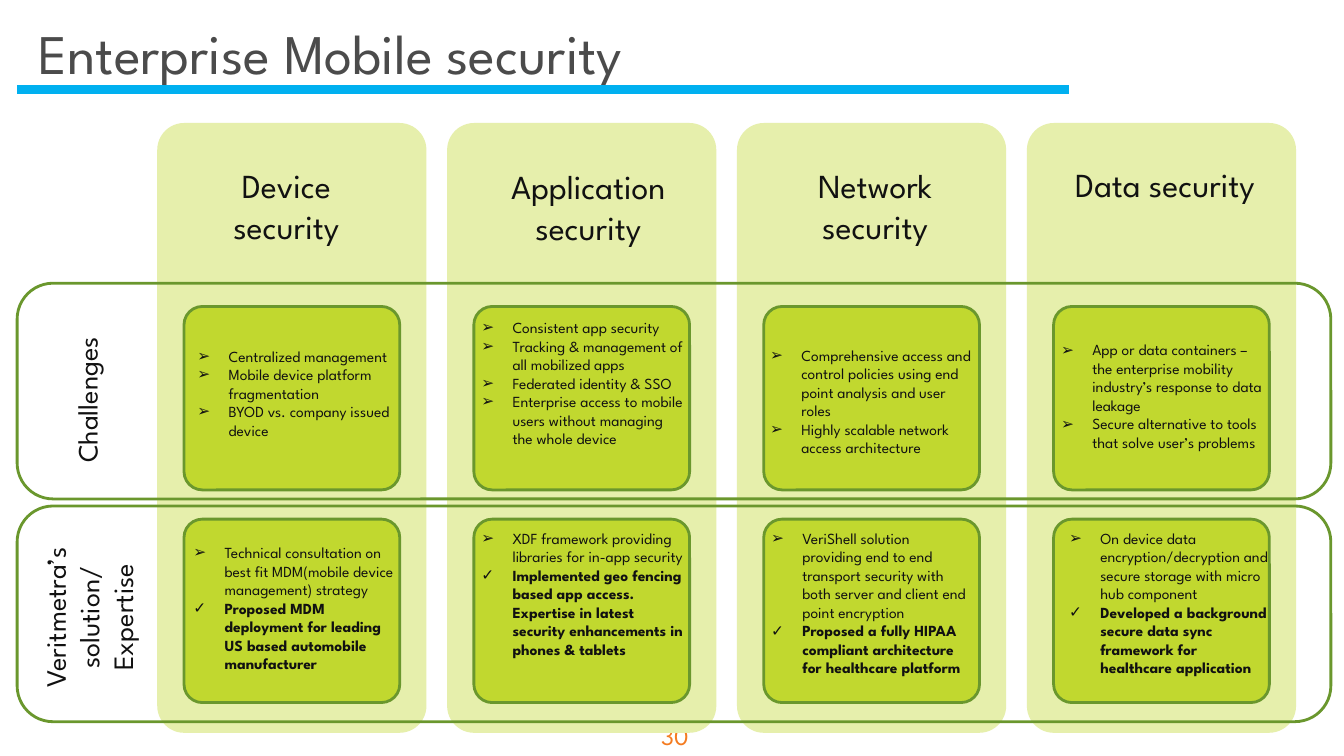
from dataclasses import dataclass

from lxml.etree import SubElement
from pptx import Presentation
from pptx.dml.color import RGBColor
from pptx.enum.shapes import MSO_CONNECTOR, MSO_SHAPE
from pptx.enum.text import MSO_ANCHOR, MSO_AUTO_SIZE, PP_ALIGN
from pptx.oxml.ns import qn
from pptx.util import Inches, Pt

FONT = "League Spartan"
INK, TITLE_GREY, ORANGE, BLUE = "111111", "4B4B4B", "F47B20", "00B0F0"
PALE, LIME, GREEN = "E6EFAC", "C1D82F", "6A972D"
ARROW, CHECK = "➢", "✓"
INDENT = 0.31

# Grid: four columns crossed by two rows, with a card at each crossing
COL_LEFT, COL_TOP, COL_W, COL_H, COL_PITCH = 1.56, 1.22, 2.67, 6.05, 2.875
ROW_LEFT, ROW_TOP, ROW_W, ROW_H, ROW_PITCH = 0.17, 2.81, 13.03, 2.14, 2.21
CARD_DX, CARD_TOP, CARD_W, CARD_H, CARD_PITCH = 0.265, 3.04, 2.14, 1.82, 2.11
BODY_W, HEAD_H = 2.2, 0.91


@dataclass
class Item:
    text: str
    bullet: str = ""
    bold: bool = False


@dataclass
class Cell:
    """Bulleted text, placed by offsets from its column's left and its card's top."""
    dx: float
    dy: float
    h: float
    items: list[Item]


@dataclass
class Column:
    heading: str
    dx: float
    top: float
    w: float
    cells: list[Cell]


@dataclass
class RowLabel:
    lines: list[str]
    box: tuple[float, float, float, float]
    align: PP_ALIGN


def challenges(dx: float, dy: float, h: float, *texts: str) -> Cell:
    return Cell(dx, dy, h, [Item(t, ARROW) for t in texts])


def solution(dx: float, dy: float, h: float, offer: str, proof: str) -> Cell:
    return Cell(dx, dy, h, [Item(offer, ARROW), Item(proof, CHECK, True)])


COLUMNS = [
    Column("Device security", 0.4, 1.59, 1.76, [
        challenges(0.3, 0.35, 1.21, "Centralized management",
                   "Mobile device platform fragmentation",
                   "BYOD vs. company issued device"),
        solution(0.26, 0.19, 1.58,
                 "Technical consultation on best fit MDM(mobile device management) strategy",
                 "Proposed MDM deployment for leading US based automobile manufacturer"),
    ]),
    Column("Application security", 0.35, 1.6, 2.1, [
        challenges(0.24, 0.07, 1.77, "Consistent app security",
                   "Tracking & management of all mobilized apps",
                   "Federated identity & SSO",
                   "Enterprise access to mobile users without managing the whole device"),
        solution(0.24, 0.05, 1.77,
                 "XDF framework providing libraries for in-app security",
                 "Implemented geo fencing based app access. Expertise in latest "
                 "security enhancements in phones & tablets"),
    ]),
    Column("Network security", 0.32, 1.59, 2.1, [
        challenges(0.23, 0.34, 1.21,
                   "Comprehensive access and control policies using end point "
                   "analysis and user roles",
                   "Highly scalable network access architecture"),
        solution(0.24, 0.05, 1.77,
                 "VeriShell solution providing end to end transport security with "
                 "both server and client end point encryption",
                 "Proposed a fully HIPAA compliant architecture for healthcare platform"),
    ]),
    Column("Data security", 0.32, 1.58, 2.1, [
        challenges(0.24, 0.29, 1.4,
                   "App or data containers – the enterprise mobility industry’s "
                   "response to data leakage",
                   "Secure alternative to tools that solve user’s problems"),
        solution(0.32, 0.05, 1.77,
                 "On device data encryption/decryption and secure storage with "
                 "micro hub component",
                 "Developed a background secure data sync framework for "
                 "healthcare application"),
    ]),
]
ROW_LABELS = [
    RowLabel(["Challenges"], (0.05, 3.66, 1.62, 0.44), PP_ALIGN.LEFT),
    RowLabel(["Veritmetra’s solution/", "Expertise"], (0.07, 5.57, 1.62, 1.11),
             PP_ALIGN.CENTER),
]


def rgb(code: str) -> RGBColor:
    return RGBColor.from_string(code)


def add_round(s, x: float, y: float, w: float, h: float, fill: str = "",
              line: str = "", corner: float = 0.1):
    sp = s.shapes.add_shape(MSO_SHAPE.ROUNDED_RECTANGLE,
                            Inches(x), Inches(y), Inches(w), Inches(h))
    sp.shadow.inherit = False
    sp.adjustments[0] = corner
    if fill:
        sp.fill.solid()
        sp.fill.fore_color.rgb = rgb(fill)
    else:
        sp.fill.background()
    if line:
        sp.line.color.rgb = rgb(line)
        sp.line.width = Pt(2)
    else:
        sp.line.fill.background()
    return sp


def add_bullet(p, char: str) -> None:
    pPr = p._p.get_or_add_pPr()
    pPr.set("marL", str(Inches(INDENT)))
    pPr.set("indent", str(-Inches(INDENT)))
    SubElement(pPr, qn("a:buFont"), typeface="Arial")
    SubElement(pPr, qn("a:buChar"), char=char)


def add_text(s, box: tuple[float, float, float, float], items: list[Item],
             size: float, color: str = INK, align: PP_ALIGN = PP_ALIGN.LEFT,
             frame: dict | None = None):
    sp = s.shapes.add_textbox(*(Inches(v) for v in box))
    tf = sp.text_frame
    settings = {"word_wrap": True, "auto_size": MSO_AUTO_SIZE.SHAPE_TO_FIT_TEXT}
    for name, value in (settings | (frame or {})).items():
        setattr(tf, name, value)
    for i, item in enumerate(items):
        p = tf.add_paragraph() if i else tf.paragraphs[0]
        p.alignment = align
        if item.bullet:
            add_bullet(p, item.bullet)
        r = p.add_run()
        r.text = item.text
        for name, value in {"name": FONT, "size": Pt(size), "bold": item.bold}.items():
            setattr(r.font, name, value)
        r.font.color.rgb = rgb(color)
    return sp


def add_rule(s, x1: float, x2: float, y: float, color: str, width: float) -> None:
    ln = s.shapes.add_connector(MSO_CONNECTOR.STRAIGHT,
                                Inches(x1), Inches(y), Inches(x2), Inches(y))
    ln.line.color.rgb = rgb(color)
    ln.line.width = Pt(width)
    SubElement(ln._element.spPr, qn("a:effectLst"))


def main() -> None:
    prs = Presentation()
    prs.slide_width, prs.slide_height = Inches(13.33), Inches(7.5)
    s = prs.slides.add_slide(prs.slide_layouts[6])
    lefts = [COL_LEFT + i * COL_PITCH for i in range(len(COLUMNS))]

    add_text(s, (6.44, 7.1, 0.51, 0.4), [Item("30")], 18, ORANGE, PP_ALIGN.CENTER)
    for x in lefts:
        add_round(s, x, COL_TOP, COL_W, COL_H, PALE)
    for j in range(len(ROW_LABELS)):
        add_round(s, ROW_LEFT, ROW_TOP + j * ROW_PITCH, ROW_W, ROW_H,
                  line=GREEN, corner=0.1667)

    add_text(s, (0.26, 0.14, 11.91, 0.76), [Item("Enterprise Mobile security")],
             39.9, TITLE_GREY, frame={
                 "auto_size": MSO_AUTO_SIZE.NONE, "vertical_anchor": MSO_ANCHOR.MIDDLE,
                 "margin_left": Inches(0.12), "margin_right": Inches(0.12),
                 "margin_top": Inches(0.06), "margin_bottom": Inches(0.06)})
    add_rule(s, ROW_LEFT, 10.6, 0.89, BLUE, 6.75)

    for label in ROW_LABELS:
        sp = add_text(s, label.box, [Item(t) for t in label.lines], 20, align=label.align)
        sp.rotation = 270
    for x, col in zip(lefts, COLUMNS):
        add_text(s, (x + col.dx, col.top, col.w, HEAD_H), [Item(col.heading)], 24,
                 align=PP_ALIGN.CENTER)
        for j, cell in enumerate(col.cells):
            top = CARD_TOP + j * CARD_PITCH
            add_round(s, x + CARD_DX, top, CARD_W, CARD_H, LIME, GREEN)
            add_text(s, (x + cell.dx, top + cell.dy, BODY_W, cell.h), cell.items, 11)
    prs.save("out.pptx")


if __name__ == "__main__":
    main()
